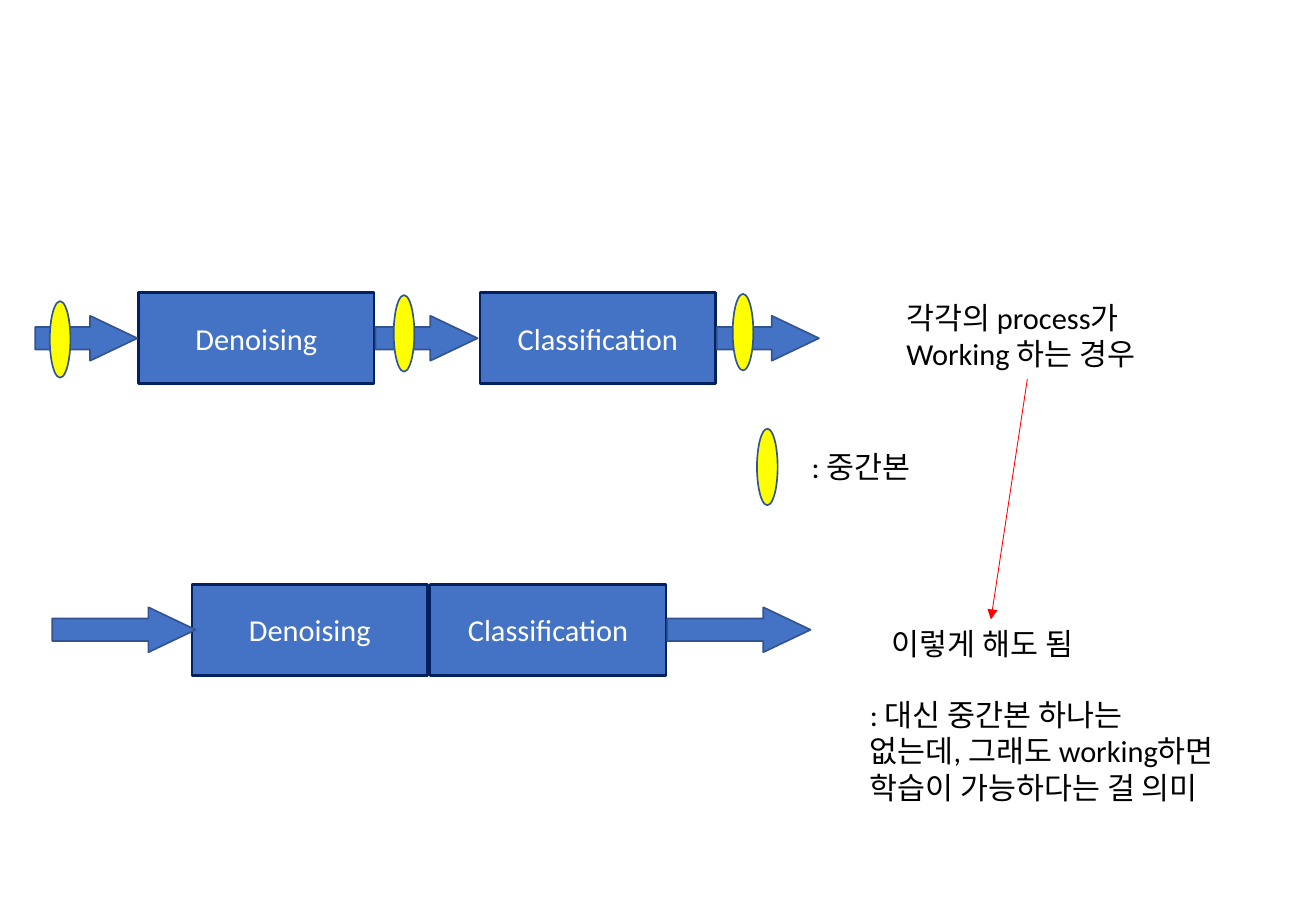
from dataclasses import dataclass

from lxml import etree
from pptx import Presentation
from pptx.dml.color import RGBColor
from pptx.enum.shapes import MSO_CONNECTOR, MSO_SHAPE
from pptx.enum.text import MSO_ANCHOR, MSO_AUTO_SIZE, PP_ALIGN
from pptx.oxml.ns import qn
from pptx.util import Emu, Pt

RECT, ARROW, OVAL = MSO_SHAPE.RECTANGLE, MSO_SHAPE.RIGHT_ARROW, MSO_SHAPE.OVAL
STRAIGHT = MSO_CONNECTOR.STRAIGHT
CENTER, LEFT = PP_ALIGN.CENTER, PP_ALIGN.LEFT
MIDDLE = MSO_ANCHOR.MIDDLE
GROW = MSO_AUTO_SIZE.SHAPE_TO_FIT_TEXT

EMU_PER_PX = 9144
FONT = "Calibri"
BLUE, NAVY, EDGE = "4472C4", "002060", "325491"
YELLOW, RED, WHITE, BLACK = "FFFF00", "FF0000", "FFFFFF", "000000"
STAGE_W, STAGE_H = 194, 75
ARROW_H = 37
ARROW_DROP = 19
COPY_W, COPY_H = 17, 63
STAGES = ("Denoising", "Classification")


@dataclass(frozen=True)
class Pipeline:
    top: int
    stage_lefts: tuple[int, ...]
    arrow_lefts: tuple[int, ...]
    arrow_width: int
    copies: tuple[tuple[int, int], ...] = ()


@dataclass(frozen=True)
class Note:
    left: int
    top: int
    width: int
    height: int
    lines: tuple[str, ...]
    wrap: bool = False


JOINED = Pipeline(481, (158, 354), (43, 549), 118)
SEPARATE = Pipeline(241, (114, 395), (29, 309, 590), 84,
                    ((41, 248), (324, 243), (603, 242)))

WORKING_CASE = Note(736, 241, 219, 71, ("각각의 process가", "Working 하는 경우"))
ALTERNATIVE = Note(724, 510, 183, 40, ("이렇게 해도 됨",))
MEANING = Note(706, 568, 318, 101,
               (": 대신 중간본 하나는", "없는데, 그래도 working하면",
                "학습이 가능하다는 걸 의미"), wrap=True)
LEGEND = Note(658, 364, 109, 40, (": 중간본",))


def px(value: int) -> Emu:
    return Emu(value * EMU_PER_PX)


def rgb(color: str) -> RGBColor:
    return RGBColor.from_string(color)


def write(tf, *lines: str, size: int = 18, color: str = BLACK, align=LEFT) -> None:
    for i, line in enumerate(lines):
        p = tf.add_paragraph() if i else tf.paragraphs[0]
        p.alignment = align
        r = p.add_run()
        r.text = line
        r.font.name = FONT
        r.font.size = Pt(size)
        r.font.color.rgb = rgb(color)


def add_shape(shapes, kind, left: int, top: int, width: int, height: int,
              fill: str = BLUE, line: str = EDGE, weight: float = 1):
    sp = shapes.add_shape(kind, px(left), px(top), px(width), px(height))
    sp.shadow.inherit = False
    sp.fill.solid()
    sp.fill.fore_color.rgb = rgb(fill)
    sp.line.color.rgb = rgb(line)
    sp.line.width = Pt(weight)
    return sp


def add_copy(shapes, left: int, top: int) -> None:
    add_shape(shapes, OVAL, left, top, COPY_W, COPY_H, fill=YELLOW)


def add_pipeline(s, pipeline: Pipeline) -> None:
    shapes = s.shapes.add_group_shape().shapes
    for left, name in zip(pipeline.stage_lefts, STAGES):
        sp = add_shape(shapes, RECT, left, pipeline.top, STAGE_W, STAGE_H,
                       line=NAVY, weight=1.5)
        sp.text_frame.vertical_anchor = MIDDLE
        write(sp.text_frame, name, color=WHITE, align=CENTER)
    for left in pipeline.arrow_lefts:
        sp = add_shape(shapes, ARROW, left, pipeline.top + ARROW_DROP,
                       pipeline.arrow_width, ARROW_H)
        sp.adjustments[0] = 0.5
        sp.adjustments[1] = 1.05
    for left, top in pipeline.copies:
        add_copy(shapes, left, top)


def add_note(s, note: Note):
    sp = s.shapes.add_textbox(px(note.left), px(note.top),
                              px(note.width), px(note.height))
    tf = sp.text_frame
    tf.word_wrap = note.wrap
    tf.auto_size = GROW
    write(tf, *note.lines)
    return sp


def add_link(s, start, end) -> None:
    link = s.shapes.add_connector(STRAIGHT, 0, 0, 0, 0)
    link.begin_connect(start, 2)
    link.end_connect(end, 0)
    link.line.color.rgb = rgb(RED)
    link.line.width = Pt(0.5)
    etree.SubElement(link.line._get_or_add_ln(), qn("a:tailEnd"), type="triangle")
    etree.SubElement(link._element.spPr, qn("a:effectLst"))


def main() -> None:
    prs = Presentation()
    prs.slide_width, prs.slide_height = px(1083), px(750)
    s = prs.slides.add_slide(prs.slide_layouts[6])
    working_case = add_note(s, WORKING_CASE)
    alternative = add_note(s, ALTERNATIVE)
    add_note(s, MEANING)
    add_pipeline(s, JOINED)
    add_pipeline(s, SEPARATE)
    add_copy(s.shapes, 623, 353)
    add_note(s, LEGEND)
    add_link(s, working_case, alternative)
    prs.save("out.pptx")


if __name__ == "__main__":
    main()
